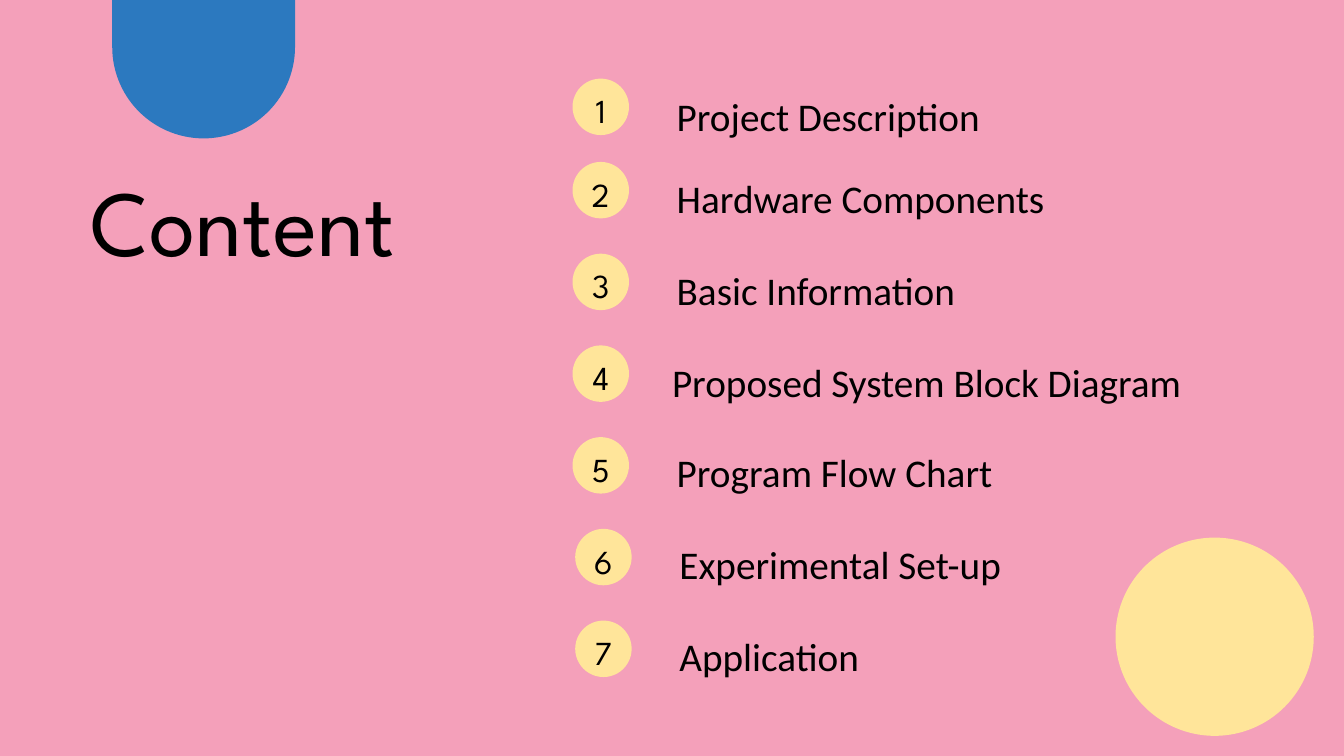
from math import cos, pi, sin

from pptx import Presentation
from pptx.dml.color import RGBColor
from pptx.enum.shapes import MSO_SHAPE
from pptx.enum.text import MSO_ANCHOR, MSO_AUTO_SIZE, PP_ALIGN
from pptx.util import Inches, Pt

PINK = RGBColor(0xF4, 0xA0, 0xBA)
YELLOW = RGBColor(0xFF, 0xE5, 0x9A)
BLUE = RGBColor(0x2C, 0x79, 0xBF)
BLACK = RGBColor(0, 0, 0)
HEADING_FONT = "League Spartan"
BODY_FONT = "Calibri"
COLUMNS, ROWS = 20, 11.25
FIRST_ROW, SECOND_ROW, ROW_STEP = 1.17, 2.41, 1.365
TOPICS = [
    ("Project Description", 8.52, 10.07, 0.91),
    ("Hardware Components", 8.52, 10.07, 2.12),
    ("Basic Information", 8.52, 10.07, 3.49),
    ("Proposed System Block Diagram", 8.52, 10, 4.86),
    ("Program Flow Chart", 8.52, 10.07, 6.21),
    ("Experimental Set-up", 8.56, 10.11, 7.58),
    ("Application", 8.56, 10.11, 8.94),
]


class ContentPage:
    """Styled slide whose elements are placed in grid columns and rows."""

    def __init__(self, deck):
        self.column = deck.slide_width / COLUMNS
        self.row = deck.slide_height / ROWS
        self.page = deck.slides.add_slide(deck.slide_layouts[5])
        background = self.page.background.fill
        background.solid()
        background.fore_color.rgb = PINK

    def frame(self, left, top, width, height):
        """Turn grid measures into slide lengths."""
        return (round(left * self.column), round(top * self.row),
                round(width * self.column), round(height * self.row))

    def paint(self, shape, color):
        """Give a shape a plain fill without line or shadow."""
        shape.shadow.inherit = False
        shape.fill.solid()
        shape.fill.fore_color.rgb = color
        shape.line.fill.background()

    def set_text(self, box, text, font, size, spacing, align=PP_ALIGN.LEFT):
        """Set one paragraph of text in a box without margins."""
        frame = box.text_frame
        frame.margin_left = frame.margin_right = 0
        frame.margin_top = frame.margin_bottom = 0
        frame.word_wrap = True
        frame.auto_size = MSO_AUTO_SIZE.NONE
        frame.vertical_anchor = MSO_ANCHOR.TOP
        frame.text = text
        paragraph = frame.paragraphs[0]
        paragraph.alignment = align
        paragraph.line_spacing = Pt(spacing)
        paragraph.font.name = font
        paragraph.font.size = Pt(size)
        paragraph.font.color.rgb = BLACK

    def title(self, text, *place):
        """Move and fill the title placeholder."""
        box = self.page.shapes.title
        box.left, box.top, box.width, box.height = self.frame(*place)
        self.set_text(box, text, HEADING_FONT, 99.6, 139.4)

    def label(self, text, *place):
        """Add a topic label."""
        box = self.page.shapes.add_textbox(*self.frame(*place))
        self.set_text(box, text, BODY_FONT, 42, 84)

    def circle(self, left, top, size):
        """Add a yellow circle."""
        shape = self.page.shapes.add_shape(
            MSO_SHAPE.OVAL, *self.frame(left, top, size, size))
        self.paint(shape, YELLOW)

    def badge(self, number, left, top):
        """Add a numbered circle."""
        self.circle(left, top, 0.84)
        box = self.page.shapes.add_textbox(
            *self.frame(left + 0.12, top - 0.01, 0.6, 0.73))
        self.set_text(box, str(number), HEADING_FONT, 36, 56.5, PP_ALIGN.CENTER)

    def tab(self, left, width, height, steps=60):
        """Add a blue tab hanging from the top edge with a round end."""
        radius = width / 2
        center, straight = left + radius, height - radius
        angles = [pi * step / steps for step in range(steps + 1)]
        arc = [(center + radius * cos(angle), straight + radius * sin(angle))
               for angle in angles]
        outline = [(x * self.column, y * self.row)
                   for x, y in [(left + width, 0), *arc, (left, 0)]]
        builder = self.page.shapes.build_freeform(*outline[0])
        builder.add_line_segments(outline[1:], close=True)
        self.paint(builder.convert_to_shape(), BLUE)


def main():
    """Build and save the content slide."""
    deck = Presentation()
    deck.slide_width, deck.slide_height = Inches(COLUMNS), Inches(ROWS)
    content = ContentPage(deck)
    content.tab(1.67, 2.72, 2.06)
    content.circle(16.6, 8, 2.95)
    content.title("Content", 1.35, 2.16, 6.46, 1.87)
    for index, (topic, badge_left, label_left, label_top) in enumerate(TOPICS):
        top = SECOND_ROW + (index - 1) * ROW_STEP if index else FIRST_ROW
        content.badge(index + 1, badge_left, top)
        content.label(topic, label_left, label_top, 8.31, 1.06)
    deck.save("out.pptx")


if __name__ == "__main__":
    main()
